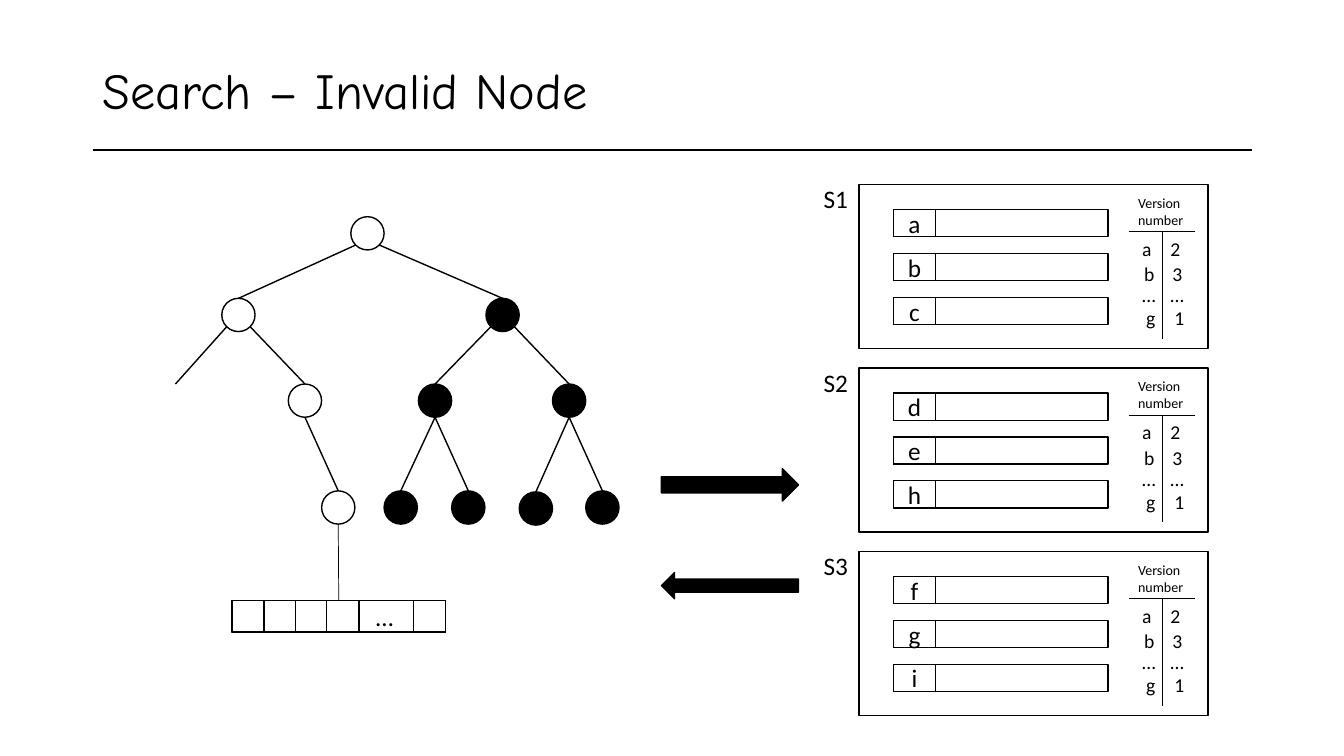
from lxml.etree import SubElement
from pptx import Presentation
from pptx.dml.color import RGBColor
from pptx.enum.shapes import MSO_CONNECTOR, MSO_SHAPE
from pptx.enum.text import MSO_ANCHOR, MSO_AUTO_SIZE, PP_ALIGN
from pptx.oxml.ns import qn
from pptx.util import Inches, Pt

COLORS = {"ink": "000000", "paper": "FFFFFF"}
TITLE_FONT, BODY_FONT = "Comic Neue", "Calibri"

TITLE = "Search – Invalid Node"

# Tree nodes: left, top, fill, parent and the side of the parent the edge leaves
NODES = {
    "root": (3.48, 2.15, "paper", None, None),
    "left": (2.20, 2.96, "paper", "root", "lower left"),
    "right": (4.82, 2.96, "ink", "root", "lower right"),
    "left-right": (2.86, 3.81, "paper", "left", "lower right"),
    "right-left": (4.15, 3.81, "ink", "right", "lower left"),
    "right-right": (5.48, 3.81, "ink", "right", "lower right"),
    "leaf 1": (3.19, 4.87, "paper", "left-right", "bottom"),
    "leaf 2": (3.81, 4.87, "ink", "right-left", "bottom"),
    "leaf 3": (4.48, 4.87, "ink", "right-left", "bottom"),
    "leaf 4": (5.15, 4.88, "ink", "right-right", "bottom"),
    "leaf 5": (5.81, 4.87, "ink", "right-right", "bottom"),
}
NODE_SIZE = 0.33
EXITS = {"lower left": (0.05, 0.28), "lower right": (0.28, 0.28), "bottom": (0.165, 0.33)}
OPEN_EDGE = (2.25, 3.24, 1.74, 3.81)

ARRAY_TOP, ARRAY_HEIGHT = 5.96, 0.31
ARRAY_CELL_LEFTS = (2.3, 2.62, 2.93, 3.24, 4.1)

SERVERS = {"S1": "abc", "S2": "deh", "S3": "fgi"}
SERVER_TOP, SERVER_PITCH = 1.83, 1.82
RECORD_PITCH = 0.435
# Version table rows: left, distance below the server's top, key, version
VERSIONS = [
    (11.23, 0.47, "a", "2"),
    (11.25, 0.72, "b", "3"),
    (11.23, 0.93, "…", "…"),
    (11.27, 1.16, "g", "1"),
]

# Message arrows: top, height, rotation
MESSAGES = [(4.65, 0.32, 0), (5.68, 0.26, 180)]


def color(name):
    return RGBColor.from_string(COLORS[name])


def style_text(paragraph, size, font=BODY_FONT):
    paragraph.font.size = Pt(size)
    paragraph.font.name = font
    paragraph.font.color.rgb = color("ink")


def add_outlined(shapes, kind, left, top, width, height, fill="paper"):
    shape = shapes.add_shape(kind, Inches(left), Inches(top), Inches(width), Inches(height))
    shape.shadow.inherit = False
    shape.fill.solid()
    shape.fill.fore_color.rgb = color(fill)
    shape.line.color.rgb = color("ink")
    shape.line.width = Pt(1)
    return shape


def add_line(shapes, x1, y1, x2, y2, width=1):
    line = shapes.add_connector(
        MSO_CONNECTOR.STRAIGHT, Inches(x1), Inches(y1), Inches(x2), Inches(y2))
    line.line.color.rgb = color("ink")
    line.line.width = Pt(width)
    SubElement(line._element.spPr, qn("a:effectLst"))
    return line


def add_label(shapes, text, left, top, width, height, size, wrap=False):
    label = shapes.add_textbox(Inches(left), Inches(top), Inches(width), Inches(height))
    label.text_frame.word_wrap = wrap
    paragraph = label.text_frame.paragraphs[0]
    paragraph.text = text
    style_text(paragraph, size)
    return paragraph


def add_tab_stop(paragraph, position):
    tabs = SubElement(paragraph._p.get_or_add_pPr(), qn("a:tabLst"))
    SubElement(tabs, qn("a:tab"), pos=str(Inches(position)), algn="l")


def add_title(slide):
    title = slide.shapes.title
    title.left, title.top = Inches(0.92), Inches(0.4)
    title.width, title.height = Inches(11.5), Inches(1.05)
    frame = title.text_frame
    frame.text = TITLE
    frame.auto_size = MSO_AUTO_SIZE.NONE
    frame.vertical_anchor = MSO_ANCHOR.MIDDLE
    paragraph = frame.paragraphs[0]
    paragraph.alignment = PP_ALIGN.LEFT
    paragraph.line_spacing = 0.9
    style_text(paragraph, 36, TITLE_FONT)
    add_line(slide.shapes, 0.92, 1.49, 12.42, 1.49, 1.5)


def add_tree(shapes):
    """Draw the nodes and edges, and return the nodes by name."""
    circles = {}
    for name, (left, top, fill, parent, side) in NODES.items():
        circles[name] = add_outlined(
            shapes, MSO_SHAPE.OVAL, left, top, NODE_SIZE, NODE_SIZE, fill)
        if parent:
            parent_left, parent_top = NODES[parent][:2]
            dx, dy = EXITS[side]
            edge = add_line(shapes, parent_left + dx, parent_top + dy, left, top)
            edge.end_connect(circles[name], 0)
    add_line(shapes, *OPEN_EDGE)
    return circles


def add_array(shapes, leaf):
    group = shapes.add_group_shape().shapes
    frame = add_outlined(group, MSO_SHAPE.RECTANGLE, ARRAY_CELL_LEFTS[0], ARRAY_TOP,
                         2.12, ARRAY_HEIGHT)
    for left in ARRAY_CELL_LEFTS:
        add_outlined(group, MSO_SHAPE.RECTANGLE, left, ARRAY_TOP, 0.32, ARRAY_HEIGHT)
    add_label(group, "…", 3.63, 5.92, 0.38, 0.4, 18)
    pointer = add_line(shapes, 3.36, 5.2, 3.36, ARRAY_TOP, 0.5)
    pointer.begin_connect(leaf, 2)
    pointer.end_connect(frame, 0)


def add_server(shapes, name, keys, top):
    group = shapes.add_group_shape().shapes
    add_outlined(group, MSO_SHAPE.RECTANGLE, 8.52, top, 3.46, 1.63)
    for i, key in enumerate(keys):
        record_top = top + 0.25 + i * RECORD_PITCH
        add_outlined(group, MSO_SHAPE.RECTANGLE, 8.86, record_top, 2.13, 0.27)
        key_cell = add_outlined(group, MSO_SHAPE.RECTANGLE, 8.86, record_top, 0.42, 0.27)
        key_cell.text_frame.vertical_anchor = MSO_ANCHOR.MIDDLE
        paragraph = key_cell.text_frame.paragraphs[0]
        paragraph.text = key
        paragraph.alignment = PP_ALIGN.CENTER
        style_text(paragraph, 18)
    add_label(group, name, 8.07, top - 0.06, 0.45, 0.4, 18)

    add_line(group, 11.2, top + 0.47, 11.85, top + 0.47, 0.5)
    add_line(group, 11.53, top + 0.47, 11.53, top + 1.53, 0.5)
    add_label(group, "Version number", 11.19, top + 0.05, 1.02, 0.44, 10, wrap=True)
    for left, offset, key, version in VERSIONS:
        row = add_label(group, f"{key}\t{version}", left, top + offset, 0.7, 0.34, 14, wrap=True)
        add_tab_stop(row, 0.28)


def main():
    deck = Presentation()
    deck.slide_width, deck.slide_height = Inches(13.33), Inches(7.5)
    slide = deck.slides.add_slide(deck.slide_layouts[5])
    add_title(slide)
    circles = add_tree(slide.shapes)
    add_array(slide.shapes, circles["leaf 1"])
    for i, (name, keys) in enumerate(SERVERS.items()):
        add_server(slide.shapes, name, keys, SERVER_TOP + i * SERVER_PITCH)
    for top, height, rotation in MESSAGES:
        arrow = add_outlined(slide.shapes, MSO_SHAPE.RIGHT_ARROW, 6.56, top, 1.36, height, "ink")
        arrow.rotation = rotation
    deck.save("out.pptx")


if __name__ == "__main__":
    main()
